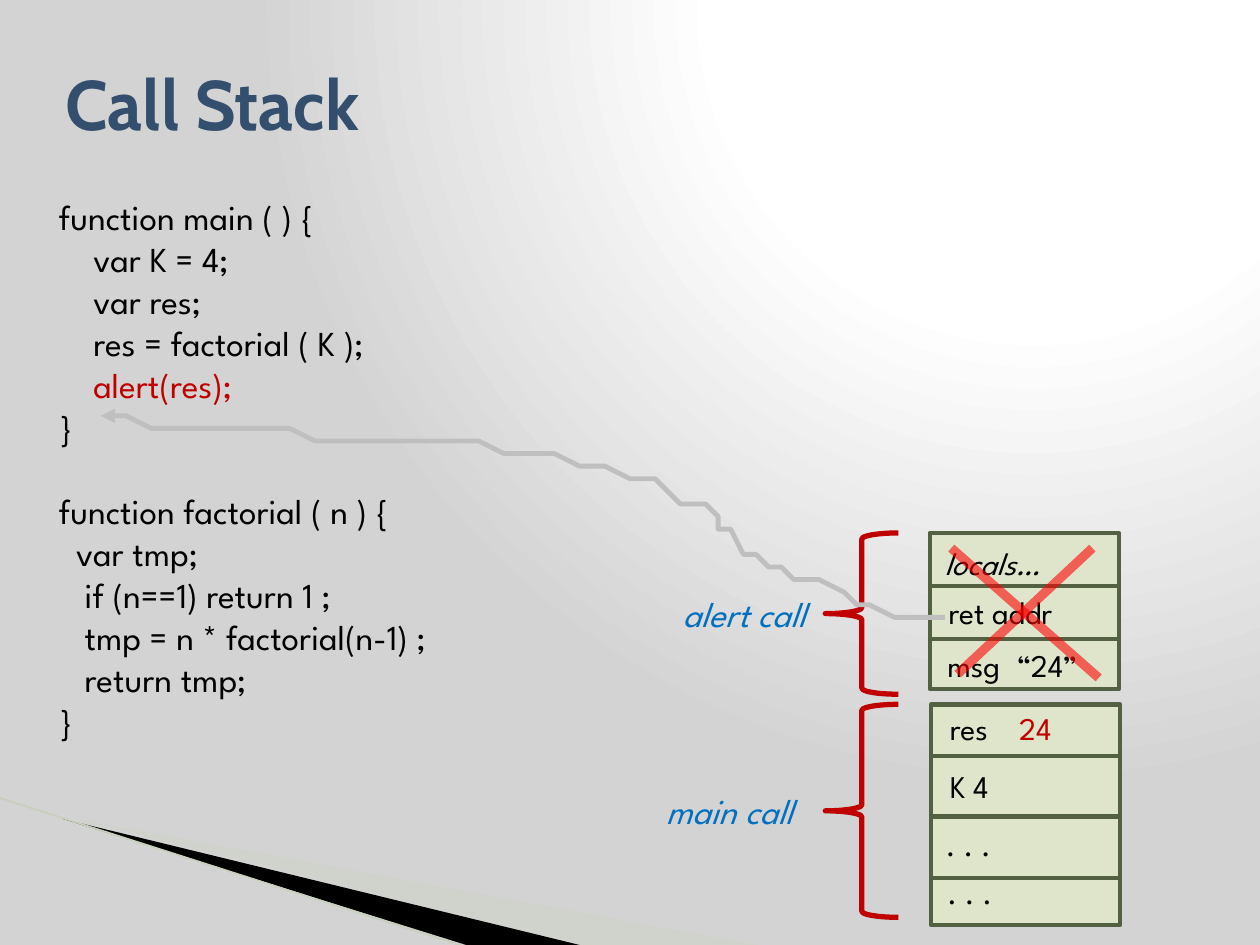
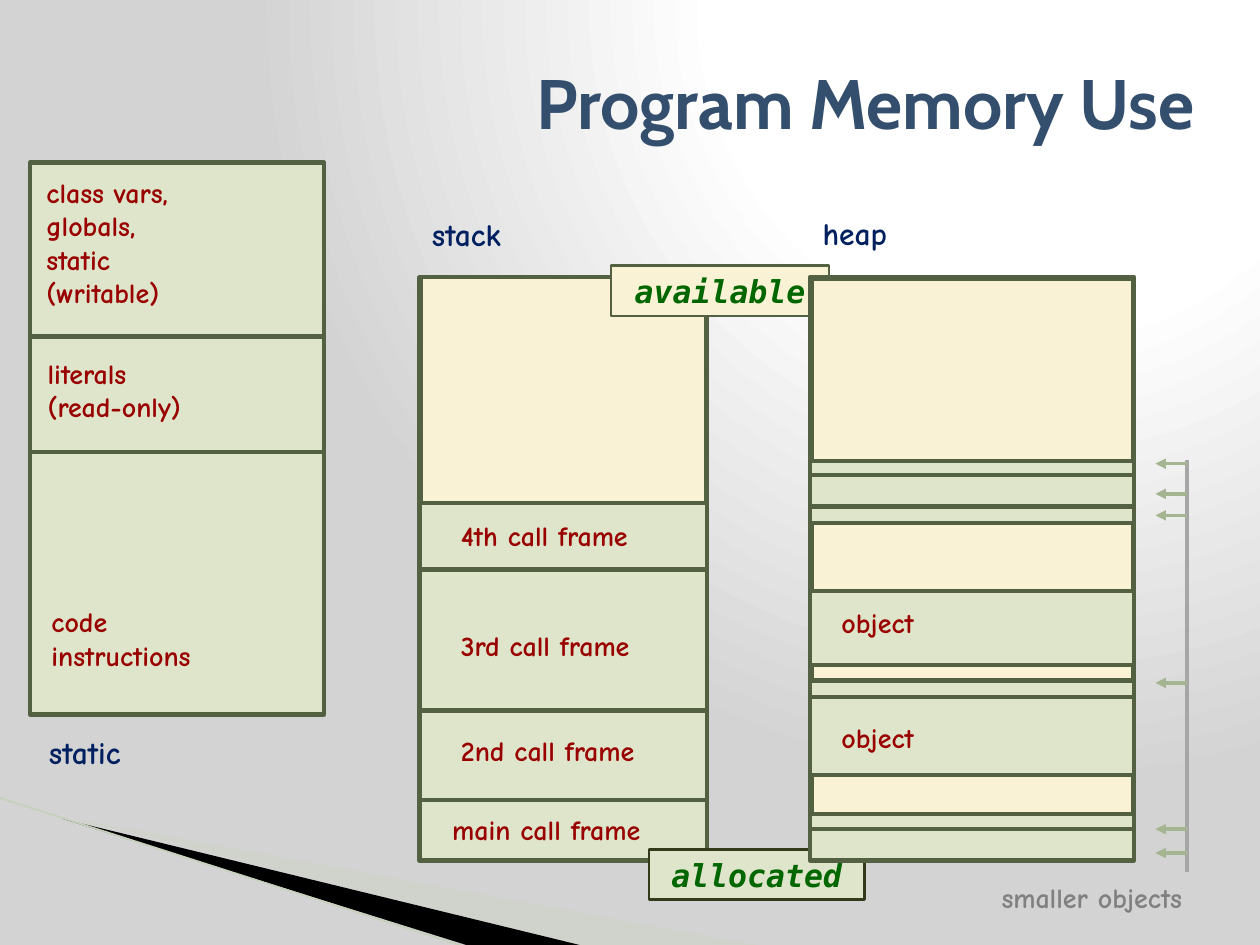
"""Build two slides on the call stack and on program memory."""
from dataclasses import dataclass
from typing import Any, NamedTuple

from lxml.etree import SubElement as Sub
from pptx import Presentation
from pptx.dml.color import RGBColor as Rgb
from pptx.enum.shapes import MSO_CONNECTOR as Conn, MSO_SHAPE as Form
from pptx.enum.text import MSO_ANCHOR as Anchor, PP_ALIGN as Align
from pptx.oxml import parse_xml
from pptx.oxml.ns import nsdecls, qn
from pptx.util import Inches, Pt

COLS, ROWS = 100, 75
CELL = Inches(0.1)


class Face(NamedTuple):
    """Font, size, colour and weight of a run."""
    font: str
    size: int
    color: str
    bold: bool = False
    slant: bool = False


class Theme:
    """Colours and type styles of the deck."""
    green, cream, edge, dark = "DFE5CA", "FAF2D4", "536142", "333A1C"
    red, cross, gray, sage, rail = "C00000", "FF0000", "BFBFBF", "A5B592", "A6A6A6"
    wedge, black, thread = "CBD4C0", "000000", "C6D0BB"
    glow = ((0, "FFFFFF"), (40, "FFFFFF"), (100, "D3D3D3"))
    title = Face("Cabin", 40, "344E6D", True)
    code = Face("League Spartan", 20, black)
    hot = code._replace(color=red)
    call = code._replace(color="0070C0", slant=True)
    cell = code._replace(size=18)
    local = cell._replace(slant=True)
    value = cell._replace(color=red)
    head = Face("Comic Neue", 18, "002060", True)
    body = Face("Comic Neue", 16, "990000", True)
    mute = body._replace(color="808080")
    tag = Face("DejaVu Sans Mono", 18, "006600", True, True)


class Box(NamedTuple):
    """Place in columns and rows."""
    x: float
    y: float
    w: float
    h: float

    def span(self) -> list[int]:
        """Give the place in slide lengths."""
        return [at(n) for n in self]


class Line(NamedTuple):
    """One line of code, with its indent in spaces and lead in points."""
    text: str
    depth: int = 0
    lead: int = 0
    face: Face = Theme.code


@dataclass
class Note:
    """Words at a place."""
    text: str
    box: Box
    face: Face
    align: Align = Align.LEFT
    anchor: Anchor = Anchor.TOP


@dataclass
class Stack:
    """A column of memory cells, cut at rows, with free bands (top, height)."""
    box: Box
    cuts: tuple[float, ...]
    free: tuple[tuple[float, float], ...] = ()


def at(cells: float) -> int:
    """Turn grid cells into a slide length."""
    return round(cells * CELL)


def fade(part: Any, share: int) -> None:
    """Set the opacity of the first colour in a part."""
    color = next(part.iter(qn("a:srgbClr")))
    Sub(color, qn("a:alpha"), val=str(share * 1000))


def stroke(shape: Any, color: str, width: float, tip: bool = False) -> None:
    """Set the outline of a shape or line."""
    shape.line.color.rgb = Rgb.from_string(color)
    shape.line.width = Pt(width)
    if tip:
        Sub(shape._element.spPr.find(qn("a:ln")), qn("a:tailEnd"), type="triangle")


def paint(shape: Any, color: str | None) -> None:
    """Fill a shape, or clear its fill, and drop its shadow."""
    shape.shadow.inherit = False
    if color:
        shape.fill.solid()
        shape.fill.fore_color.rgb = Rgb.from_string(color)
    else:
        shape.fill.background()


def rule(slide: Any, ends: tuple[float, ...], color: str, width: float,
         tip: bool = False) -> Any:
    """Draw a straight line."""
    line = slide.shapes.add_connector(Conn.STRAIGHT, *map(at, ends))
    stroke(line, color, width, tip)
    Sub(line._element.spPr, qn("a:effectLst"))
    return line


def block(slide: Any, box: Box, fill: str | None, edge: str = Theme.edge,
          width: float = 2.5, form: Form = Form.RECTANGLE) -> Any:
    """Draw a preset shape."""
    shape = slide.shapes.add_shape(form, *box.span())
    paint(shape, fill)
    stroke(shape, edge, width)
    return shape


def trace(slide: Any, dots: list[tuple[float, float]], close: bool) -> Any:
    """Draw an outline through the dots."""
    pen = slide.shapes.build_freeform(*dots[0], scale=CELL)
    pen.add_line_segments(dots[1:], close=close)
    return pen.convert_to_shape()


def add_run(para: Any, text: str, face: Face) -> None:
    """Add one styled run."""
    run = para.add_run()
    run.text = text
    font = run.font
    font.name, font.size = face.font, Pt(face.size)
    font.bold, font.italic = face.bold, face.slant
    font.color.rgb = Rgb.from_string(face.color)


def write(slide: Any, note: Note) -> None:
    """Place a note in a text box."""
    frame = slide.shapes.add_textbox(*note.box.span()).text_frame
    frame.word_wrap = True
    frame.vertical_anchor = note.anchor
    para = frame.paragraphs[0]
    para.alignment = note.align
    add_run(para, note.text, note.face)


def label(slide: Any, text: str, box: Box, fill: str, edge: str) -> None:
    """Draw a filled tag with its word."""
    block(slide, box, fill, edge, 1.5)
    write(slide, Note(text, box, Theme.tag, Align.CENTER, Anchor.MIDDLE))


def pile(slide: Any, stack: Stack) -> None:
    """Draw a memory column."""
    box = stack.box
    block(slide, box, Theme.green)
    for row in stack.cuts:
        rule(slide, (box.x, row, box.x + box.w, row), Theme.edge, 2.5)
    for top, high in stack.free:
        block(slide, Box(box.x + 0.1, top, box.w - 0.15, high), Theme.cream)


def listing(slide: Any, box: Box, lines: list[Line]) -> None:
    """Write code line by line with real indents."""
    frame = slide.shapes.add_textbox(*box.span()).text_frame
    frame.word_wrap = True
    for num, line in enumerate(lines):
        para = frame.add_paragraph() if num else frame.paragraphs[0]
        indent = at(1.2 + 0.68 * line.depth)
        para._p.get_or_add_pPr().set("marL", str(indent))
        para.space_before = Pt(line.lead)
        add_run(para, line.text, line.face)


def backdrop(deck: Any) -> None:
    """Give the master its round glow."""
    fill = deck.slide_master.background.fill
    fill.solid()
    solid = next(deck.slide_master._element.iter(qn("a:solidFill")))
    stops = "".join(f'<a:gs pos="{pos * 1000}"><a:srgbClr val="{color}"/></a:gs>'
                    for pos, color in Theme.glow)
    solid.getparent().replace(solid, parse_xml(
        f'<a:gradFill {nsdecls("a")} rotWithShape="1"><a:gsLst>{stops}</a:gsLst>'
        '<a:path path="circle"><a:fillToRect l="65000" b="98000"/></a:path>'
        '</a:gradFill>'))


def start(deck: Any, title: str, box: Box, align: Align) -> Any:
    """Add a slide with its corner wedge and title."""
    slide = deck.slides.add_slide(deck.slide_layouts[6])
    pale = [(5.5, 65.1), (59.5, 75.1), (45.6, 75.1), (5.5, 65)]
    deep = [(5.3, 64.9), (45.7, 75.1), (37.2, 75.2), (5.4, 65)]
    for dots, color in ((pale, Theme.wedge), (deep, Theme.black)):
        shape = trace(slide, dots, True)
        paint(shape, color)
        shape.line.fill.background()
        if color == Theme.wedge:
            fade(shape._element.spPr, 40)
    rule(slide, (-0.1, 63.3, 37.1, 75.2), Theme.thread, 0.95)
    write(slide, Note(title, box, Theme.title, align, Anchor.MIDDLE))
    return slide


def calls(deck: Any) -> None:
    """Build the call stack slide."""
    slide = start(deck, "Call Stack", Box(4.2, 3.1, 90, 10.1), Align.LEFT)
    pile(slide, Stack(Box(73.8, 42.3, 15, 12.4), (46.5, 50.7)))
    pile(slide, Stack(Box(73.9, 55.9, 15, 17.5), (60, 64.8, 69.7)))
    listing(slide, Box(2.5, 15, 40, 45.1), [
        Line("function main ( ) {"),
        Line("var K = 4;", 4),
        Line("var res;", 4),
        Line("res = factorial ( K );", 4),
        Line("alert(res);", 4, face=Theme.hot),
        Line("}"),
        Line("function factorial ( n ) {", lead=24),
        Line("var tmp;", 2),
        Line("if (n==1) return 1 ;", 3),
        Line("tmp = n * factorial(n-1) ;", 3),
        Line("return tmp;", 3),
        Line("}"),
    ])
    for text, x, y, face in (
            ("locals…", 74, 42.7, Theme.local), ("ret addr", 74.3, 46.6, Theme.cell),
            ("msg", 74.2, 50.8, Theme.cell), ("“24”", 79.7, 50.8, Theme.cell),
            ("res", 74.4, 55.8, Theme.cell), ("24", 79.9, 55.8, Theme.value),
            ("K 4", 74.4, 60.4, Theme.cell), (". . .", 74.1, 65, Theme.cell),
            (". . .", 74.2, 68.8, Theme.cell)):
        write(slide, Note(text, Box(x, y, 12.6, 4), face))
    for text, end, y, top, high in (("main call", 63.9, 62.2, 55.9, 16.9),
                                    ("alert call", 64.9, 46.5, 42.3, 12.8)):
        write(slide, Note(text, Box(end - 20, y, 20, 4.4), Theme.call, Align.RIGHT))
        block(slide, Box(65.5, top, 5.8, high), None, Theme.red, 3, Form.LEFT_BRACE)
    for ends in ((75.5, 43.5, 87.2, 53.8), (76, 53.5, 86.7, 43.5)):
        fade(rule(slide, ends, Theme.cross, 5.25)._element.spPr, 58)
    path = trace(slide, [
        (74.8, 48.8), (71.1, 48.6), (69.3, 48.1), (67.8, 47.5), (66.7, 46.9),
        (65.3, 46.5), (64.2, 46), (62.9, 45.8), (61.7, 45.3), (60.7, 44.6),
        (59.6, 44.1), (58.9, 43.6), (57.8, 42.4), (57.3, 41.6), (56.6, 40.8),
        (55.7, 40.1), (54.9, 39.7), (54.3, 39.6), (53.3, 39), (52, 38.5),
        (51, 38.1), (49.7, 37.6), (48.2, 37.3), (47.5, 37.1), (45.7, 36.8),
        (44.4, 36.4), (43.2, 36), (40.9, 35.6), (39.6, 35.5), (37.8, 35.2),
        (35, 35.2), (30.9, 35.2), (27.7, 34.9), (25.3, 34.7), (23.2, 34.4),
        (15.4, 34.1), (14.3, 33.8), (11.5, 33.5), (10.3, 33.2), (9, 32.9),
        (7.6, 32.8)], False)
    paint(path, None)
    stroke(path, Theme.gray, 2.75, True)


def memory(deck: Any) -> None:
    """Build the memory use slide."""
    slide = start(deck, "Program Memory Use", Box(5.8, 1.8, 90, 12.5), Align.RIGHT)
    pile(slide, Stack(Box(33.3, 22, 22.8, 46.3), (45.2, 56.4, 63.5), ((22, 17.9),)))
    label(slide, "available", Box(48.5, 21.1, 17.3, 4), Theme.cream, Theme.edge)
    label(slide, "allocated", Box(51.5, 67.4, 17.1, 4), Theme.green, Theme.dark)
    pile(slide, Stack(Box(64.3, 22, 25.7, 46.3), (37.7, 40.2, 55.3, 65.8),
                      ((22.1, 14.5), (41.5, 5.4), (52.8, 1.2), (61.5, 3.1))))
    pile(slide, Stack(Box(2.4, 12.9, 23.3, 43.8), (26.7, 35.9)))
    for text, x, y in (("static", 2.9, 57.7), ("stack", 33.3, 16.6),
                       ("heap", 64.3, 16.5)):
        write(slide, Note(text, Box(x, y, 14.2, 4.2), Theme.head))
    for text, x, y, high in (("class vars, globals, static (writable)", 2.7, 13.4, 11.8),
                             ("literals (read-only)", 2.8, 27.8, 6.4),
                             ("code instructions", 3.1, 47.5, 6.4)):
        write(slide, Note(text, Box(x, y, 14.2, high), Theme.body))
    for text, x, y in (("4th call frame", 35.6, 40.7), ("3rd call frame", 35.6, 49.4),
                       ("2nd call frame", 35.6, 57.7), ("main call frame", 34.9, 64),
                       ("object", 65.8, 47.6), ("object", 65.8, 56.7)):
        write(slide, Note(text, Box(x, y, 20.3, 3.7), Theme.body))
    write(slide, Note("smaller objects", Box(78.5, 69.4, 19.8, 3.7), Theme.mute))
    rule(slide, (94.2, 69.2, 94.2, 36.5), Theme.rail, 2)
    for row in (36.8, 39.2, 40.9, 54.2, 65.8, 67.7):
        rule(slide, (94.2, row, 91.7, row), Theme.sage, 2, True)


def main() -> None:
    """Build and save the deck."""
    deck = Presentation()
    deck.slide_width, deck.slide_height = at(COLS), at(ROWS)
    backdrop(deck)
    calls(deck)
    memory(deck)
    deck.save("out.pptx")


if __name__ == "__main__":
    main()
